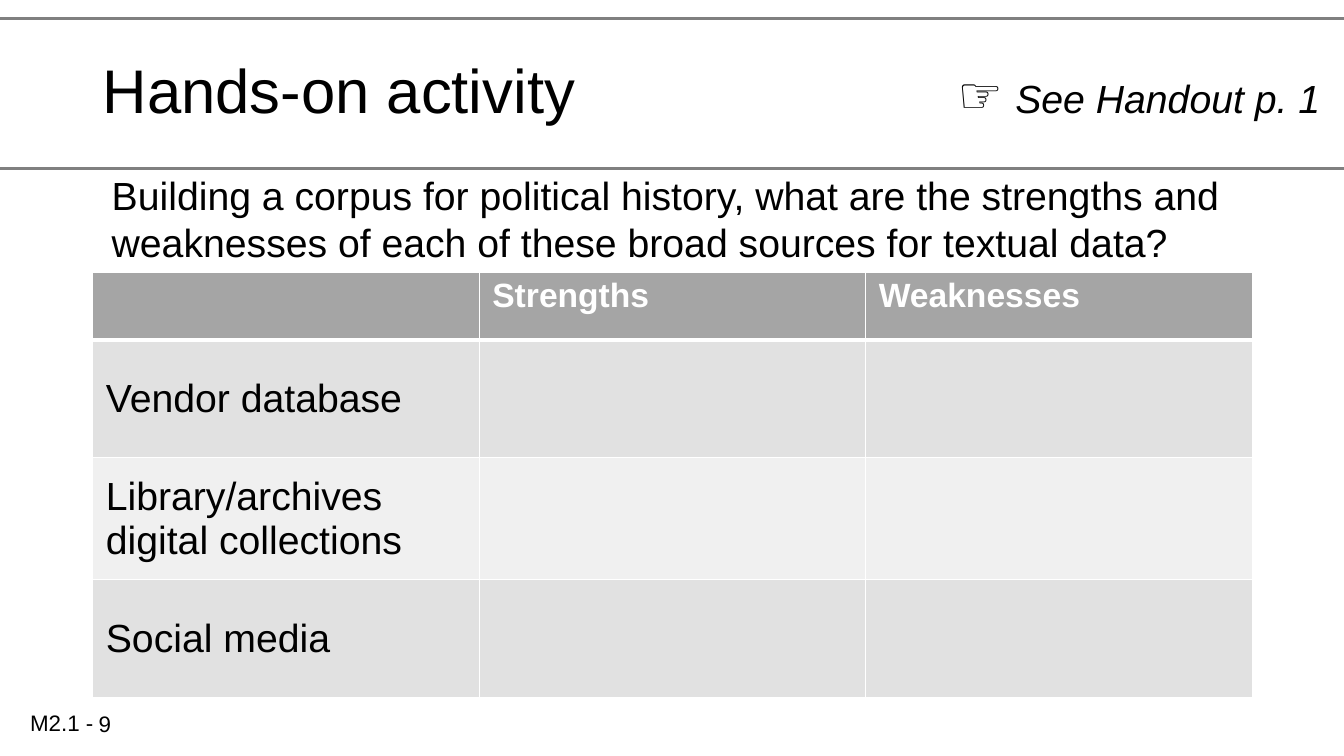
from lxml import etree
from pptx import Presentation
from pptx.dml.color import RGBColor
from pptx.enum.shapes import MSO_CONNECTOR as Link
from pptx.enum.text import MSO_ANCHOR as Anchor
from pptx.oxml.ns import qn
from pptx.util import Inches, Pt

BLACK = RGBColor(0, 0, 0)
WHITE = RGBColor(255, 255, 255)
RULE = RGBColor(0x80, 0x80, 0x80)
HEAD = RGBColor(0xA5, 0xA5, 0xA5)
DARK = RGBColor(0xE1, 0xE1, 0xE1)
LIGHT = RGBColor(0xF0, 0xF0, 0xF0)

ROWS = [
    ("", "Strengths", "Weaknesses"),
    ("Vendor database", "", ""),
    ("Library/archives digital collections", "", ""),
    ("Social media", "", ""),
]
HEIGHTS = (0.67, 1.17, 1.21, 1.17)
FILLS = (HEAD, DARK, LIGHT, DARK)


def add_run(para, text, size=28, color=BLACK, bold=False, italic=False):
    run = para.add_run()
    run.text = text
    font = run.font
    font.name, font.size = "Arial", Pt(size)
    font.bold, font.italic = bold, italic
    font.color.rgb = color


def add_text(slide, text, box, anchor=Anchor.TOP, wrap=True, space=None, **style):
    """Add a text box and return its paragraph."""
    frame = slide.shapes.add_textbox(*map(Inches, box)).text_frame
    frame.word_wrap = wrap
    frame.vertical_anchor = anchor
    para = frame.paragraphs[0]
    if space:
        para.line_spacing = space
    add_run(para, text, **style)
    return para


def add_rule(slide, y):
    line = slide.shapes.add_connector(
        Link.STRAIGHT, 0, Inches(y), Inches(13.33), Inches(y))
    line.line.color.rgb = RULE
    line.line.width = Pt(2.25)
    etree.SubElement(line._element.spPr, qn("a:effectLst"))


def add_edge(cell, side, width):
    props = cell._tc.get_or_add_tcPr()
    edge = etree.SubElement(props, qn(f"a:ln{side}"), w=str(Pt(width)))
    fill = etree.SubElement(edge, qn("a:solidFill"))
    etree.SubElement(fill, qn("a:srgbClr"), val=str(WHITE))


def fill_cell(cell, text, row):
    # Borders go before the fill; the header has a thick lower edge
    top, low = (3 if row == 1 else 1), (3 if row == 0 else 1)
    for side, width in zip("LRTB", (1, 1, top, low)):
        add_edge(cell, side, width)
    cell.fill.solid()
    cell.fill.fore_color.rgb = FILLS[row]
    if not text:
        return
    cell.margin_left = cell.margin_right = Inches(0.13)
    para = cell.text_frame.paragraphs[0]
    if row == 0:
        add_run(para, text, size=24, color=WHITE, bold=True)
    else:
        cell.vertical_anchor = Anchor.MIDDLE
        add_run(para, text)


def add_grid(slide):
    box = map(Inches, (0.92, 2.7, 11.5, sum(HEIGHTS)))
    grid = slide.shapes.add_table(len(ROWS), len(ROWS[0]), *box).table
    grid.horz_banding = False
    for r, texts in enumerate(ROWS):
        grid.rows[r].height = Inches(HEIGHTS[r])
        for c, text in enumerate(texts):
            fill_cell(grid.cell(r, c), text, r)


def main():
    deck = Presentation()
    deck.slide_width, deck.slide_height = Inches(13.33), Inches(7.5)
    slide = deck.slides.add_slide(deck.slide_layouts[6])

    # Title band
    for y in (0.18, 1.67):
        add_rule(slide, y)
    add_text(slide, "Hands-on activity", (0.92, 0.2, 11.5, 1.45),
             anchor=Anchor.MIDDLE, space=0.9, size=44)

    # Question and table
    add_grid(slide)
    add_text(slide, "Building a corpus for political history, what are the "
             "strengths and weaknesses of each of these broad sources for "
             "textual data?", (1.01, 1.65, 11.4, 1.04))

    # Handout pointer
    note = add_text(slide, "☞", (9.4, 0.58, 3.86, 0.71), wrap=False, size=36)
    add_run(note, " ", size=32)
    add_run(note, "See Handout p. 1", italic=True)

    # Footer
    add_text(slide, "M2.1 -", (0.2, 6.99, 0.98, 0.37), size=16)
    add_text(slide, "9", (0.88, 6.98, 3, 0.4), anchor=Anchor.MIDDLE, size=16)

    deck.save("out.pptx")


if __name__ == "__main__":
    main()
